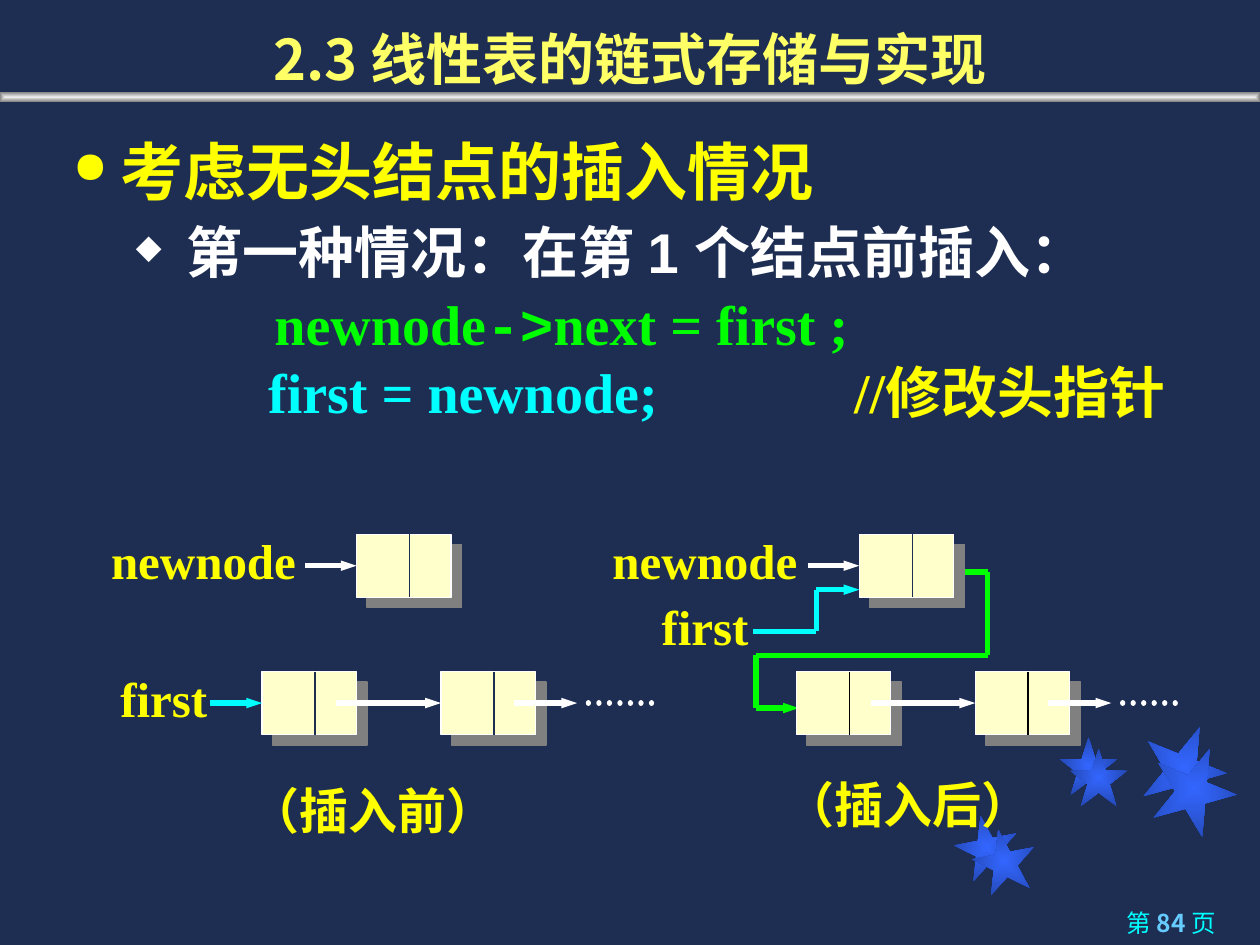
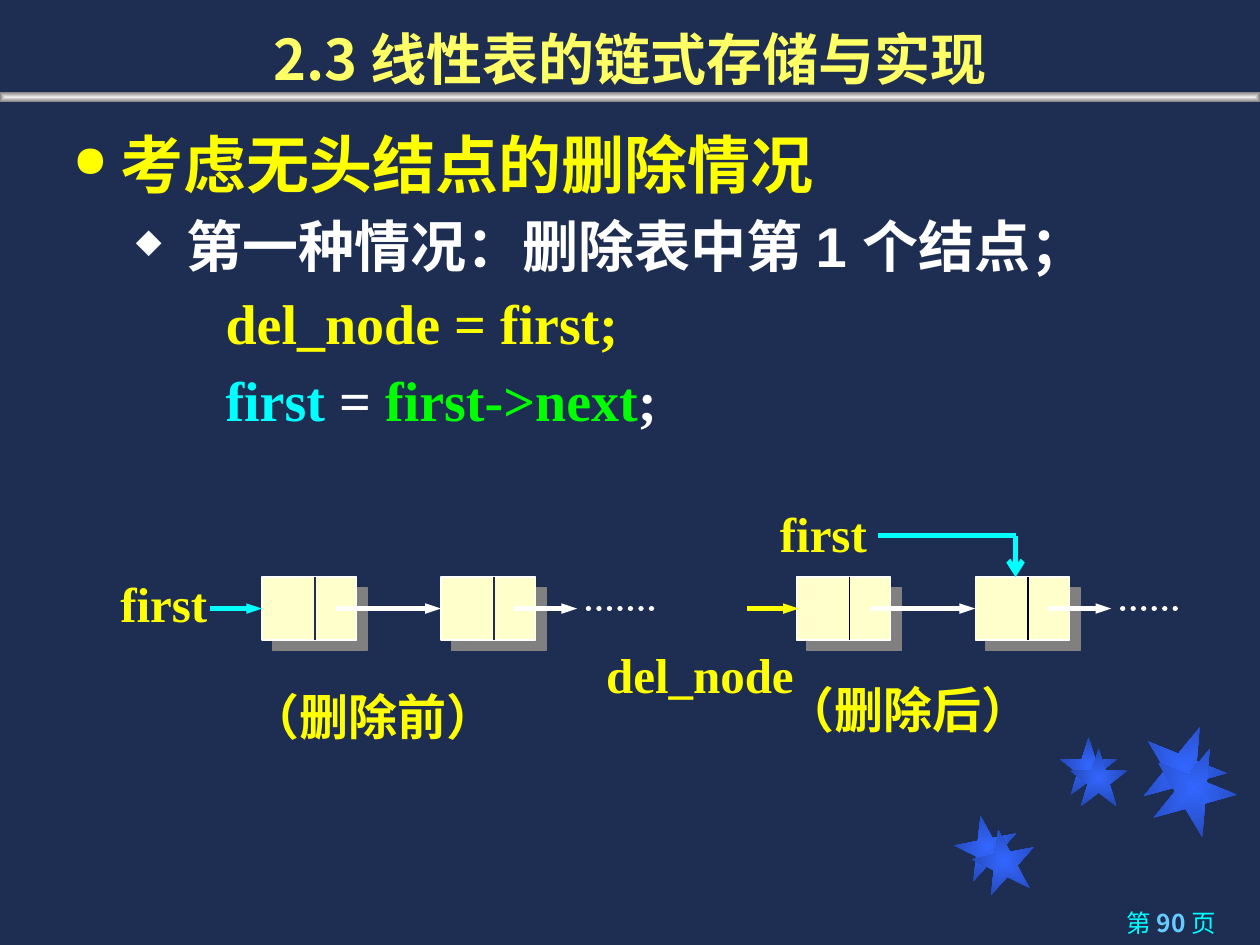
from itertools import pairwise

from lxml import etree
from pptx import Presentation
from pptx import util as u
from pptx.dml.color import RGBColor
from pptx.enum import dml, shapes, text
from pptx.oxml import parse_xml
from pptx.oxml.ns import qn

NAVY = RGBColor(0x1E, 0x2E, 0x53)
YELLOW = RGBColor(0xFF, 0xFF, 0x00)
PALE_YELLOW = RGBColor(0xFF, 0xFF, 0x66)
CREAM = RGBColor(0xFF, 0xFF, 0xCC)
WHITE = RGBColor(0xFF, 0xFF, 0xFF)
BLACK = RGBColor(0x00, 0x00, 0x00)
CYAN = RGBColor(0x00, 0xFF, 0xFF)
SKY = RGBColor(0x66, 0xCC, 0xFF)
GREEN = RGBColor(0x00, 0xFF, 0x00)
GRAY = RGBColor(0x80, 0x80, 0x80)
SILVER = RGBColor(0xED, 0xED, 0xED)
STAR_CORE = RGBColor(0x33, 0x66, 0xFF)
STAR_EDGE = RGBColor(0x24, 0x49, 0xB6)

CJK, SANS, SERIF, MONO = "Noto Sans CJK SC", "Arial", "Times New Roman", "Courier New"
DRAWING = 'xmlns:a="http://schemas.openxmlformats.org/drawingml/2006/main"'
COLUMNS, ROWS = 100, 75
STARS = [(75.8, 64.7, 5, 349), (84.1, 58.5, 4.6, 0), (90.6, 57.5, 6.7, 22),
         (77.2, 65.8, 5, 349), (84.9, 59.4, 4.6, 0), (91.4, 59.2, 6.7, 22)]
NODE_WIDTH, NODE_HEIGHT, NODE_STEP, DIVIDER = 7.5, 5, 14.2, 4.2
LEFT_CHAIN, RIGHT_CHAIN = 20.8, 63.2


def grid(cells):
    """Turn grid cells into a length; a cell is a hundredth of the slide's width."""
    return u.Inches(cells * 10 / COLUMNS)


def add_xml(parent, tag, **attributes):
    """Append a drawing element to a parent."""
    return etree.SubElement(parent, qn(tag), attributes)


def add_span(para, content, size, color, font=SERIF, bold=True):
    """Add one formatted run."""
    span = para.add_run()
    span.text = content
    span.font.size = u.Pt(size)
    span.font.bold = bold
    span.font.color.rgb = color
    span.font.name = font
    add_xml(span.font._element, "a:ea", typeface=CJK)


def add_box(page, left, top, width, height, inset=1, wrap=True):
    """Add an empty text box and return its text frame."""
    frame = page.shapes.add_textbox(*map(grid, (left, top, width, height))).text_frame
    frame.word_wrap = wrap
    frame.margin_left = frame.margin_right = grid(inset)
    frame.margin_top = frame.margin_bottom = grid(inset / 2)
    return frame


def set_para(para, spacing, align=text.PP_ALIGN.LEFT):
    """Give a paragraph a fixed line pitch and an alignment."""
    para.line_spacing = u.Pt(spacing)
    para.alignment = align
    return para


def add_bullet(para, mark, color, percent, margin, hang):
    """Give a paragraph a bullet and a hanging indent."""
    properties = para._p.get_or_add_pPr()
    properties.set("marL", str(grid(margin)))
    properties.set("indent", str(-grid(hang)))
    add_xml(add_xml(properties, "a:buClr"), "a:srgbClr", val=str(color))
    add_xml(properties, "a:buSzPct", val=str(percent * 1000))
    add_xml(properties, "a:buChar", char=mark)


def add_tabs(para, *stops):
    """Set the left tab stops of a paragraph."""
    tabs = add_xml(para._p.get_or_add_pPr(), "a:tabLst")
    for stop in stops:
        add_xml(tabs, "a:tab", pos=str(grid(stop)), algn="l")


def add_shape(page, kind, left, top, width, height):
    """Add a preset shape without outline or shadow."""
    shape = page.shapes.add_shape(kind, *map(grid, (left, top, width, height)))
    shape.shadow.inherit = False
    shape.line.fill.background()
    return shape


def fill_glow(shape, core, edge):
    """Fill a shape with a gradient from its centre to its edge."""
    properties = shape._element.spPr
    properties.find(qn("a:prstGeom")).addnext(parse_xml(
        f'<a:gradFill {DRAWING} rotWithShape="1"><a:gsLst>'
        f'<a:gs pos="0"><a:srgbClr val="{core}"/></a:gs>'
        f'<a:gs pos="100000"><a:srgbClr val="{edge}"/></a:gs></a:gsLst>'
        '<a:path path="shape"><a:fillToRect l="50000" t="50000" r="50000" b="50000"/>'
        '</a:path></a:gradFill>'))


def add_line(page, start, end, color, width=3, head=None, head_width="sm", dotted=False):
    """Draw a straight line, optionally dotted or with an arrowhead."""
    line = page.shapes.add_connector(
        shapes.MSO_CONNECTOR.STRAIGHT, *map(grid, (*start, *end)))
    line.line.color.rgb = color
    line.line.width = u.Pt(width)
    outline = line.line._get_or_add_ln()
    if dotted:
        line.line.dash_style = dml.MSO_LINE.ROUND_DOT
        outline.set("cap", "rnd")
    if head:
        add_xml(outline, "a:tailEnd", type=head, w=head_width, len="med")
    add_xml(line._element.spPr, "a:effectLst")


def add_wire(page, points, color, head="triangle", head_width="sm"):
    """Draw a bent pointer whose last leg carries the arrowhead."""
    legs = list(pairwise(points))
    for start, end in legs[:-1]:
        add_line(page, start, end, color)
    add_line(page, *legs[-1], color, head=head, head_width=head_width)


def add_node(page, left, top, divider=NAVY):
    """Draw a list node with a shadow and a data/link divider."""
    node = add_shape(page, shapes.MSO_SHAPE.RECTANGLE, left, top, NODE_WIDTH, NODE_HEIGHT)
    node.fill.solid()
    node.fill.fore_color.rgb = CREAM
    node.line.color.rgb = WHITE
    node.line.width = u.Pt(0.75)
    effects = node._element.spPr.find(qn("a:effectLst"))
    shadow = add_xml(effects, "a:outerShdw", dist=str(u.Pt(8.5)), dir="2700000",
                     algn="ctr", rotWithShape="0")
    add_xml(shadow, "a:srgbClr", val=str(GRAY))
    middle = left + DIVIDER
    add_line(page, (middle, top), (middle, top + NODE_HEIGHT), divider, 0.75)


def add_chain(page, left, top, divider, dots):
    """Draw two linked nodes followed by a dotted rest of the list."""
    second, middle = left + NODE_STEP, top + NODE_HEIGHT / 2
    for start in (left, second):
        add_node(page, start, top, divider)
    for start, end in ((left + 5.9, second), (left + 20, left + 25)):
        add_line(page, (start, middle), (end, middle), WHITE, head="triangle")
    add_line(page, (left + 25.9, middle), (left + 25.9 + dots, middle), WHITE, dotted=True)


def add_label(page, content, left, top, width, spacing=34):
    """Add a centred yellow label; captions pass a larger line pitch."""
    frame = add_box(page, left, top, width, 5.7, wrap=False)
    para = set_para(frame.paragraphs[0], spacing, text.PP_ALIGN.CENTER)
    add_span(para, content, 28, YELLOW)


def add_comparison(page, top, action, before, after):
    """Draw the chains before and after an action, with captions."""
    middle = top + NODE_HEIGHT / 2
    add_chain(page, LEFT_CHAIN, top, NAVY, 5.8)
    add_label(page, "first", 8, top - 0.8, 10)
    add_line(page, (16.7, middle), (LEFT_CHAIN, middle), CYAN, head="triangle")
    add_chain(page, RIGHT_CHAIN, top, BLACK, 5)
    add_label(page, f"（{action}{before}）", 17.1, top + 7.7, 25, 37)
    add_label(page, f"（{action}{after}）", 59.8, top + 7.2, 24.5, 37)


def add_page(deck, number):
    """Add a slide with the shared background, stars, band, title and footer."""
    page = deck.slides.add_slide(deck.slide_layouts[6])
    page.background.fill.solid()
    page.background.fill.fore_color.rgb = NAVY
    for left, top, size, turn in STARS:
        star = add_shape(page, shapes.MSO_SHAPE.STAR_5_POINT, left, top, size, size)
        star.rotation = turn
        fill_glow(star, STAR_CORE, STAR_EDGE)
    band = add_shape(page, shapes.MSO_SHAPE.RECTANGLE, 0, 7.3, COLUMNS, 0.8)
    fill_glow(band, SILVER, GRAY)
    footer = add_box(page, 71.2, 71.4, 26.3, 3.6)
    para = set_para(footer.paragraphs[0], 18, text.PP_ALIGN.RIGHT)
    add_span(para, "第 ", 14, CYAN, CJK, False)
    add_span(para, f"{number} ", 14, SKY, CJK)
    add_span(para, "页", 14, CYAN, CJK, False)
    title = add_box(page, 0, 0, COLUMNS, 7.8)
    title.vertical_anchor = text.MSO_ANCHOR.BOTTOM
    para = set_para(title.paragraphs[0], 44, text.PP_ALIGN.CENTER)
    add_span(para, "2.3 线性表的链式存储与实现", 32, PALE_YELLOW, CJK)
    return page


def add_topic(page, top, height, heading, case):
    """Add the heading and case bullets and return their text frame."""
    frame = add_box(page, 4.8, top, 90.7, height)
    para = frame.paragraphs[0]
    add_bullet(para, "●", YELLOW, 70, 3.8, 3.8)
    add_span(set_para(para, 46), heading, 36, YELLOW, SANS)
    para = frame.add_paragraph()
    add_bullet(para, "◆", WHITE, 60, 9, 4)
    add_span(set_para(para, 44), case, 32, WHITE, SANS)
    return frame


def add_insertion(deck):
    """Build the slide about inserting before the first node."""
    page = add_page(deck, 84)
    frame = add_topic(page, 9.6, 28.4, "考虑无头结点的插入情况",
                      "第一种情况：在第 1 个结点前插入：")
    para = frame.add_paragraph()
    add_tabs(para, 16)
    set_para(para, 41)
    for content, font in (("\tnewnode", SERIF), ("->", MONO), ("next = first ;", SERIF)):
        add_span(para, content, 32, GREEN, font)
    para = frame.add_paragraph()
    add_tabs(para, 15.5, 62)
    set_para(para, 39)
    add_span(para, "\tfirst = newnode;\t", 32, CYAN)
    add_span(para, "//修改头指针", 32, YELLOW)

    chain_top, new_top = 53.3, 42.4
    pointer = new_top + NODE_HEIGHT / 2
    add_wire(page, [(74.2, 45.4), (78.4, 45.4), (78.4, 52), (60, 52), (60, 56.2),
                    (63.4, 56.2)], GREEN)
    add_comparison(page, chain_top, "插入", "前", "后")
    for node, label in ((28.3, 7.8), (68.2, 47.6)):
        add_node(page, node, new_top)
        add_label(page, "newnode", label, new_top - 0.8, 16.7)
        add_line(page, (node - 4.1, pointer), (node, pointer), WHITE, head="triangle")
    add_label(page, "first", 51.5, 46.8, 8.9)
    add_wire(page, [(59.8, 50.1), (64.8, 50.1), (64.8, 46.8), (68.2, 46.8)], CYAN)


def add_deletion(deck):
    """Build the slide about deleting the first node."""
    page = add_page(deck, 90)
    add_topic(page, 9.1, 14.7, "考虑无头结点的删除情况",
              "第一种情况：删除表中第 1 个结点；")
    code = add_box(page, 16.7, 22.2, 62.6, 13.1, 1.2)
    add_span(set_para(code.paragraphs[0], 39), "del_node = first;", 32, YELLOW)
    para = set_para(code.add_paragraph(), 44)
    for content, color in (("first ", CYAN), ("= ", WHITE), ("first->next", GREEN),
                           (";", WHITE)):
        add_span(para, content, 32, color)

    chain_top = 45.8
    pointer = chain_top + NODE_HEIGHT / 2
    add_comparison(page, chain_top, "删除", "前", "后")
    add_label(page, "first", 59.8, 39.4, 11.1)
    add_wire(page, [(69.7, 42.5), (80.6, 42.5), (80.6, chain_top)], CYAN, "arrow", "med")
    add_line(page, (59.3, pointer), (63.4, pointer), YELLOW, head="triangle")
    add_label(page, "del_node", 47, 50.6, 17.1)


def main():
    """Build and save the deck."""
    deck = Presentation()
    deck.slide_width, deck.slide_height = grid(COLUMNS), grid(ROWS)
    add_insertion(deck)
    add_deletion(deck)
    deck.save("out.pptx")


if __name__ == "__main__":
    main()
